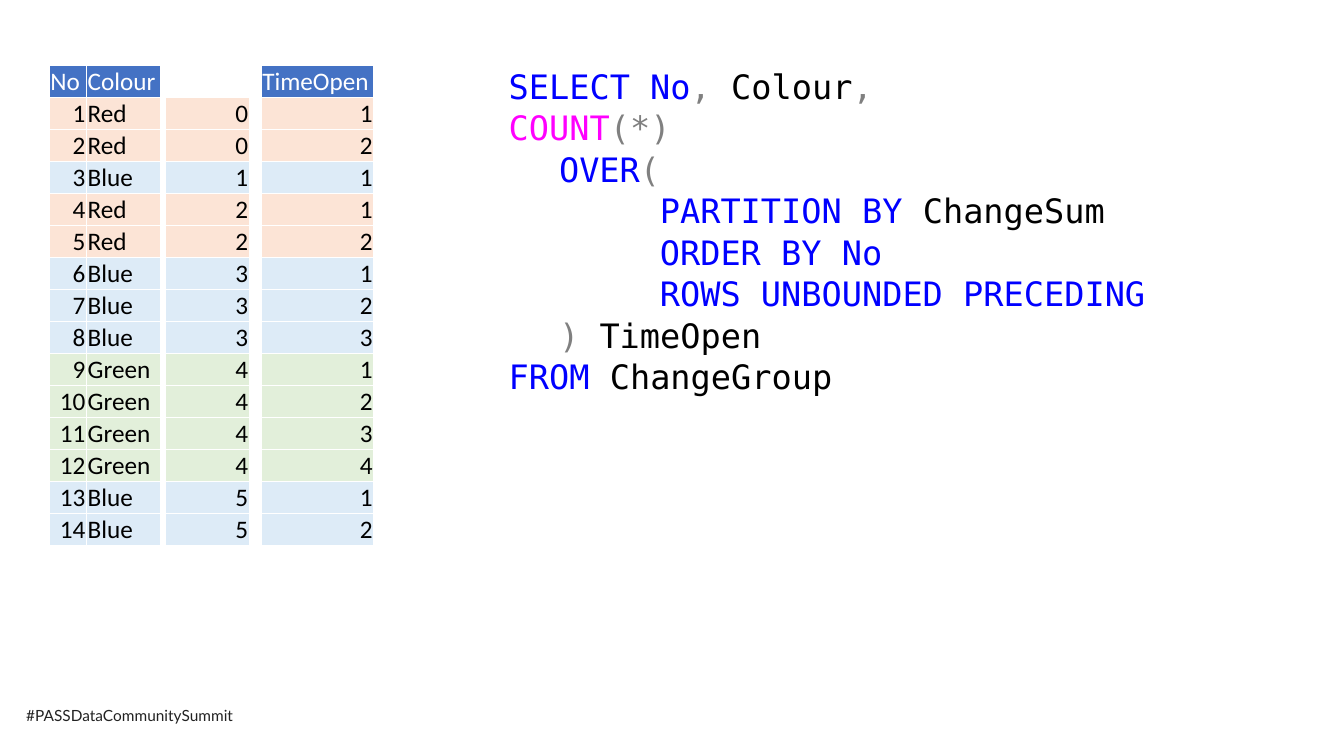
from lxml import etree
from pptx import Presentation
from pptx import util as u
from pptx.dml.color import RGBColor
from pptx.enum import text as t
from pptx.oxml.ns import qn


class Theme:
    head, white, black, foot = "4472C4", "FFFFFF", "000000", "222222"
    tint = {"Red": "FCE4D6", "Blue": "DDEBF7", "Green": "E2EFDA"}
    code = {"key": "0000FF", "sign": "808080", "name": "000000", "func": "FF00FF"}
    sans, mono, tag = "Calibri", "DejaVu Sans Mono", "Lato"
    cell, query, small = 18, 24, 11


ROWS = [
    (1, "Red", 0, 1), (2, "Red", 0, 2), (3, "Blue", 1, 1),
    (4, "Red", 2, 1), (5, "Red", 2, 2), (6, "Blue", 3, 1),
    (7, "Blue", 3, 2), (8, "Blue", 3, 3), (9, "Green", 4, 1),
    (10, "Green", 4, 2), (11, "Green", 4, 3), (12, "Green", 4, 4),
    (13, "Blue", 5, 1), (14, "Blue", 5, 2),
]
TABLES = [
    (1.24, [("No", 0, 0.94), ("Colour", 1, 1.85)]),
    (4.17, [(None, 2, 2.11)]),
    (6.58, [("TimeOpen", 3, 2.84)]),
]
QUERY = [
    (0, [("SELECT No", "key"), (",", "sign"), (" Colour", "name"), (",", "sign")]),
    (0, [("COUNT", "func"), ("(*)", "sign")]),
    (0, [("\t", "name"), ("OVER", "key"), ("(", "sign")]),
    (3, [("PARTITION BY ", "key"), ("ChangeSum", "name")]),
    (3, [("ORDER BY No", "key")]),
    (3, [("ROWS UNBOUNDED PRECEDING", "key")]),
    (0, [("\t) ", "sign"), ("TimeOpen", "name")]),
    (0, [("FROM ", "key"), ("ChangeGroup", "name")]),
]
TAG = "#PASSDataCommunitySummit"
TOP = u.Cm(1.65)
HIGH = u.Cm(12.09) // (len(ROWS) + 1)
STEP = u.Cm(1.27)


def style(font, face, size, tone=None):
    font.name, font.size = face, u.Pt(size)
    if tone:
        font.color.rgb = RGBColor.from_string(tone)


def edge(cell):
    props = cell._tc.get_or_add_tcPr()
    for side in ("a:lnL", "a:lnR", "a:lnT", "a:lnB"):
        line = etree.SubElement(props, qn(side), w=str(u.Pt(0.5)))
        fill = etree.SubElement(line, qn("a:solidFill"))
        etree.SubElement(fill, qn("a:srgbClr"), val=Theme.white)


def put(cell, value, fill, tone):
    edge(cell)
    cell.fill.solid()
    cell.fill.fore_color.rgb = RGBColor.from_string(fill)
    cell.margin_left = cell.margin_right = cell.margin_top = u.Cm(0.03)
    cell.margin_bottom = 0
    cell.vertical_anchor = t.MSO_ANCHOR.BOTTOM
    cell.text = str(value)
    para = cell.text_frame.paragraphs[0]
    para.alignment = t.PP_ALIGN.RIGHT if isinstance(value, int) else t.PP_ALIGN.LEFT
    style(para.font, Theme.sans, Theme.cell, tone)


def add_grid(slide, left, cols):
    heads = [name for name, _, _ in cols]
    lines = [(Theme.tint[row[1]], Theme.black, [row[k] for _, k, _ in cols]) for row in ROWS]
    top = TOP + HIGH
    if all(heads):
        lines.insert(0, (Theme.head, Theme.white, heads))
        top = TOP
    wide = u.Cm(sum(w for _, _, w in cols))
    grid = slide.shapes.add_table(
        len(lines), len(cols), u.Cm(left), top, wide, HIGH * len(lines)).table
    grid.first_row = grid.horz_banding = False
    for c, (_, _, w) in enumerate(cols):
        grid.columns[c].width = u.Cm(w)
    for r, (fill, tone, values) in enumerate(lines):
        grid.rows[r].height = HIGH
        for c, value in enumerate(values):
            put(grid.cell(r, c), value, fill, tone)


def add_query(slide):
    box = slide.shapes.add_textbox(u.Cm(12.57), u.Cm(1.5), u.Cm(16.94), u.Cm(8.46))
    frame = box.text_frame
    frame.word_wrap = True
    frame.auto_size = t.MSO_AUTO_SIZE.SHAPE_TO_FIT_TEXT
    for i, (level, runs) in enumerate(QUERY):
        para = frame.add_paragraph() if i else frame.paragraphs[0]
        para.line_spacing = 1.03
        if level:
            para.level = level
            props = para._p.get_or_add_pPr()
            props.set("marL", str(STEP * level))
            props.set("indent", "0")
        style(para.font, Theme.mono, Theme.query)
        for words, kind in runs:
            run = para.add_run()
            run.text = words
            style(run.font, Theme.mono, Theme.query, Theme.code[kind])


def add_tag(slide):
    box = slide.shapes.add_textbox(u.Cm(0.41), u.Cm(17.68), u.Cm(5.94), u.Cm(0.74))
    frame = box.text_frame
    frame.word_wrap = False
    frame.auto_size = t.MSO_AUTO_SIZE.SHAPE_TO_FIT_TEXT
    frame.text = TAG
    style(frame.paragraphs[0].font, Theme.tag, Theme.small, Theme.foot)


def main():
    deck = Presentation()
    deck.slide_width, deck.slide_height = u.Cm(33.87), u.Cm(19.05)
    slide = deck.slides.add_slide(deck.slide_layouts[6])
    add_tag(slide)
    for left, cols in TABLES:
        add_grid(slide, left, cols)
    add_query(slide)
    deck.save("out.pptx")


if __name__ == "__main__":
    main()
